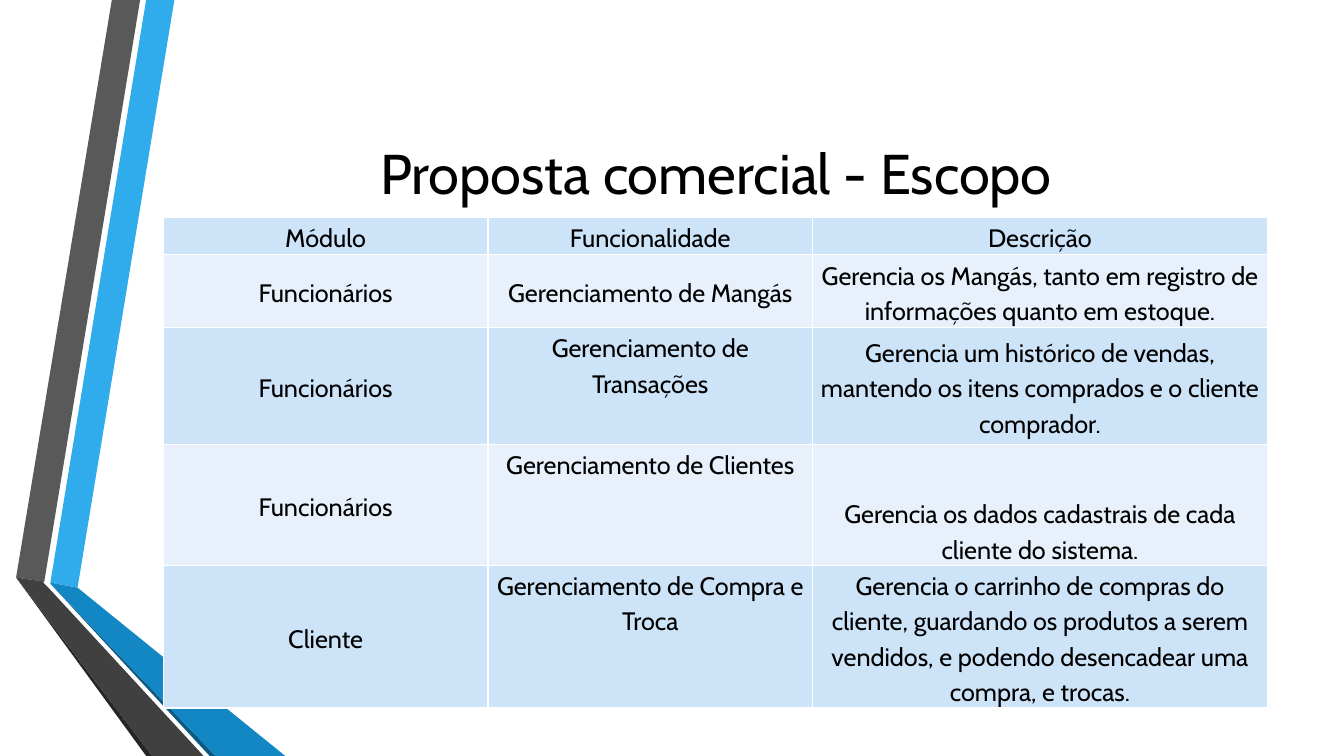
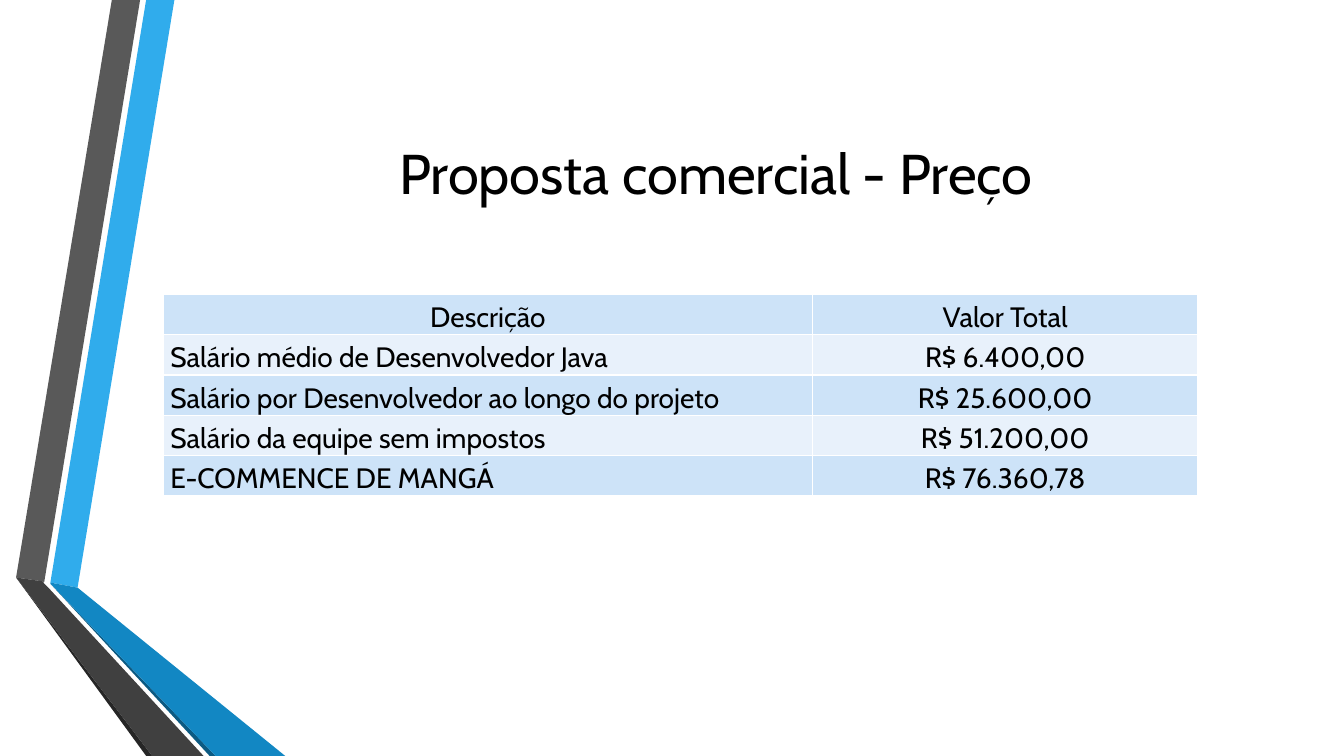
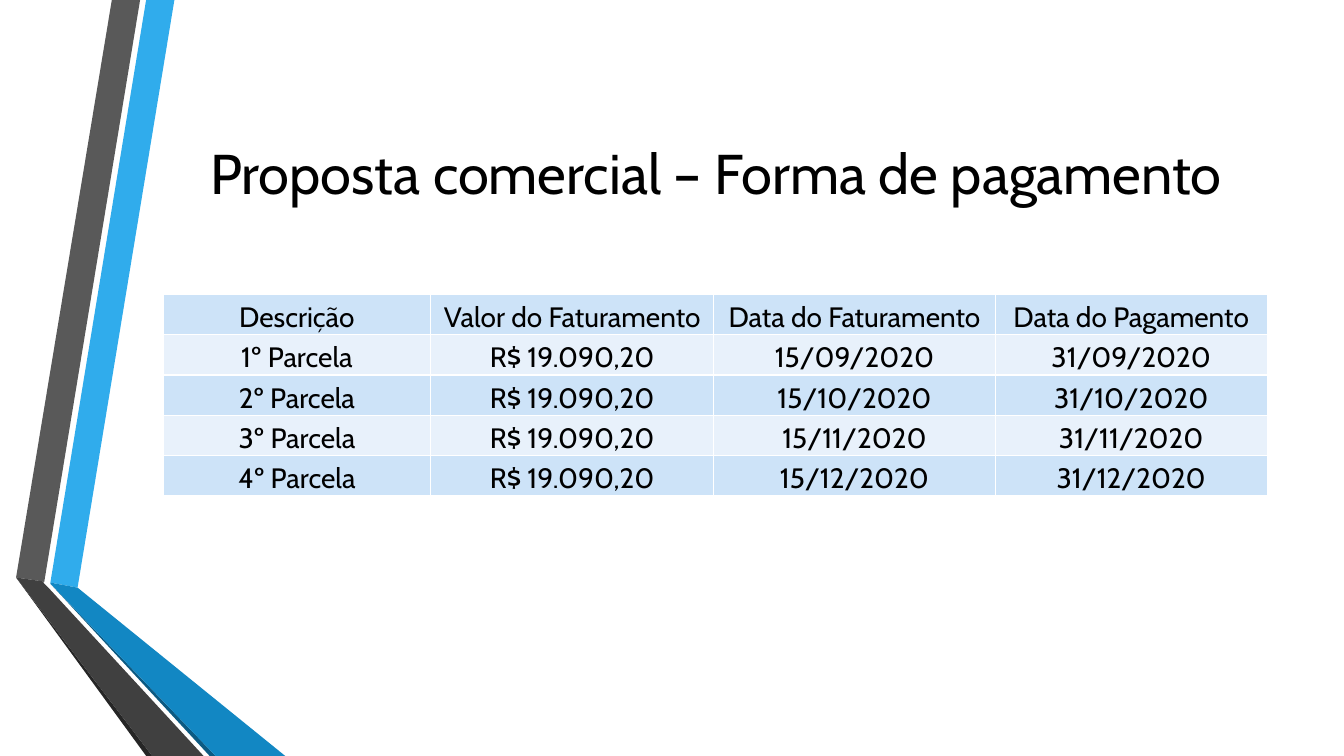
from lxml.etree import SubElement
from pptx import Presentation
from pptx.dml.color import RGBColor
from pptx.enum.text import MSO_ANCHOR as ANCHOR, PP_ALIGN as ALIGN
from pptx.oxml.ns import qn
from pptx.util import Inches, Pt

FONT = "Cabin"
BLACK, WHITE = "000000", "FFFFFF"
ROW_FILLS = ("CDE3F8", "E8F1FB")
LEFT, WIDTH = 1.62, 10.96

# Outlines of the folded ribbons at the left edge, from back to front
RIBBONS = [
    ("30ACEC", [(0.5, 5.78), (0.77, 5.83), (1.73, 0), (1.45, 0)]),
    ("595959", [(1.39, 0), (1.11, 0), (0.16, 5.73), (0.44, 5.77)]),
    ("262626", [(0.16, 5.73), (1.45, 7.5), (1.51, 7.5)]),
    ("0C5A82", [(0.5, 5.79), (2.08, 7.5), (2.14, 7.5)]),
    ("1287C3", [(0.5, 5.79), (2.14, 7.5), (2.83, 7.5), (0.77, 5.83), (0.5, 5.78)]),
    ("404040", [(2.02, 7.5), (0.48, 5.83), (0.43, 5.78), (0.44, 5.77),
                (0.16, 5.73), (1.51, 7.5)]),
]

SCOPE = [
    ("Módulo", "Funcionalidade", "Descrição"),
    ("Funcionários", "Gerenciamento de Mangás",
     "Gerencia os Mangás, tanto em registro de informações quanto em estoque."),
    ("Funcionários", "Gerenciamento de Transações",
     "Gerencia um histórico de vendas, mantendo os itens comprados e o cliente comprador."),
    ("Funcionários", "Gerenciamento de Clientes",
     "Gerencia os dados cadastrais de cada cliente do sistema."),
    ("Cliente", "Gerenciamento de Compra e Troca",
     "Gerencia o carrinho de compras do cliente, guardando os produtos a serem vendidos, "
     "e podendo desencadear uma compra, e trocas."),
]
SCOPE_ANCHORS = {
    (1, 0): ANCHOR.MIDDLE, (1, 1): ANCHOR.MIDDLE, (1, 2): ANCHOR.MIDDLE,
    (2, 0): ANCHOR.MIDDLE, (2, 2): ANCHOR.MIDDLE,
    (3, 0): ANCHOR.MIDDLE, (3, 2): ANCHOR.BOTTOM,
    (4, 0): ANCHOR.MIDDLE,
}
PRICES = [
    ("Descrição", "Valor Total"),
    ("Salário médio de Desenvolvedor Java", "R$ 6.400,00"),
    ("Salário por Desenvolvedor ao longo do projeto", "R$ 25.600,00"),
    ("Salário da equipe sem impostos", "R$ 51.200,00"),
    ("E-COMMENCE DE MANGÁ", "R$ 76.360,78"),
]
PAYMENTS = [
    ("Descrição", "Valor do Faturamento", "Data do Faturamento", "Data do Pagamento"),
] + [
    (f"{n}º Parcela", "R$ 19.090,20", f"15/{n + 8:02}/2020", f"31/{n + 8:02}/2020")
    for n in range(1, 5)
]


def rgb(color):
    return RGBColor.from_string(color)


def write(tf, text, size=20, align=ALIGN.CENTER, spacing=None, color=BLACK):
    p = tf.paragraphs[0]
    p.alignment = align
    p.line_spacing = spacing
    r = p.add_run()
    r.text = text
    r.font.name = FONT
    r.font.size = Pt(size)
    r.font.color.rgb = rgb(color)


def add_ribbons(s):
    """Build the ribbons and move them to the slide's layout, behind its text."""
    layout_tree = s.slide_layout.shapes.element
    for index, (color, points) in enumerate(RIBBONS):
        start, *rest = [(Inches(x), Inches(y)) for x, y in points]
        builder = s.shapes.build_freeform(*start)
        builder.add_line_segments(rest, close=True)
        sp = builder.convert_to_shape()
        sp.shadow.inherit = False
        sp.fill.solid()
        sp.fill.fore_color.rgb = rgb(color)
        sp.line.fill.background()
        layout_tree.insert(2 + index, sp.element)


def add_titled_slide(prs, title):
    s = prs.slides.add_slide(prs.slide_layouts[5])
    sp = s.shapes.title
    sp.left, sp.top = Inches(LEFT), Inches(0.75)
    sp.width, sp.height = Inches(WIDTH), Inches(1.92)
    sp.text_frame.vertical_anchor = ANCHOR.MIDDLE
    write(sp.text_frame, title, size=40)
    return s


def set_borders(cell, color=WHITE, width=1):
    tc_pr = cell._tc.get_or_add_tcPr()
    for side in ("lnL", "lnR", "lnT", "lnB"):
        ln = SubElement(tc_pr, qn(f"a:{side}"), w=str(Pt(width)))
        fill = SubElement(ln, qn("a:solidFill"))
        SubElement(fill, qn("a:srgbClr"), val=color)


def add_table(s, rows, top, widths, heights, size=20, inset=0.07,
              anchors=None, left_column=None):
    """Add a banded table; left_column is left-aligned below the header."""
    anchors = anchors or {}
    frame = s.shapes.add_table(len(rows), len(widths), Inches(LEFT), Inches(top),
                               Inches(sum(widths)), Inches(sum(heights)))
    table = frame.table
    table.first_row = table.horz_banding = False
    for column, width in zip(table.columns, widths):
        column.width = Inches(width)
    for i, (row, height) in enumerate(zip(rows, heights)):
        table.rows[i].height = Inches(height)
        for j, text in enumerate(row):
            cell = table.cell(i, j)
            cell.margin_left = cell.margin_right = Inches(inset)
            cell.margin_top, cell.margin_bottom = Inches(0.01), 0
            cell.vertical_anchor = anchors.get((i, j), ANCHOR.TOP)
            set_borders(cell)
            cell.fill.solid()
            cell.fill.fore_color.rgb = rgb(ROW_FILLS[i % 2])
            align = ALIGN.LEFT if i and j == left_column else ALIGN.CENTER
            write(cell.text_frame, text, size=size, align=align, spacing=1.15)


def main():
    prs = Presentation()
    prs.slide_width, prs.slide_height = Inches(13.33), Inches(7.5)

    s = add_titled_slide(prs, "Proposta comercial - Escopo")
    add_ribbons(s)
    add_table(s, SCOPE, 2.16, [3.22, 3.22, 4.51], [0.36, 0.73, 1.16, 1.2, 1.4],
              size=18, inset=0.05, anchors=SCOPE_ANCHORS)

    s = add_titled_slide(prs, "Proposta comercial - Preço")
    add_table(s, PRICES, 2.92, [6.44, 3.82], [0.4] * len(PRICES), left_column=0)

    s = add_titled_slide(prs, "Proposta comercial – Forma de pagamento")
    add_table(s, PAYMENTS, 2.92, [2.65, 2.81, 2.79, 2.7], [0.4] * len(PAYMENTS))

    prs.save("out.pptx")


if __name__ == "__main__":
    main()
